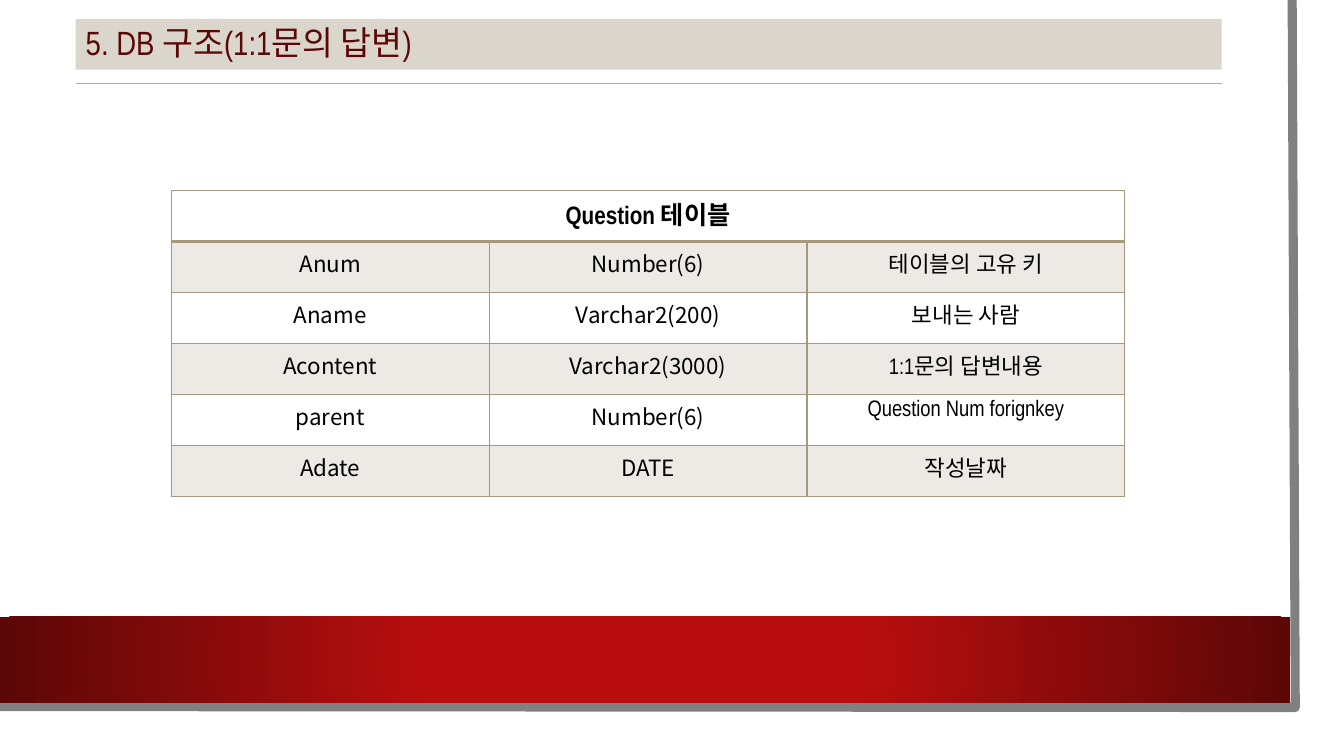
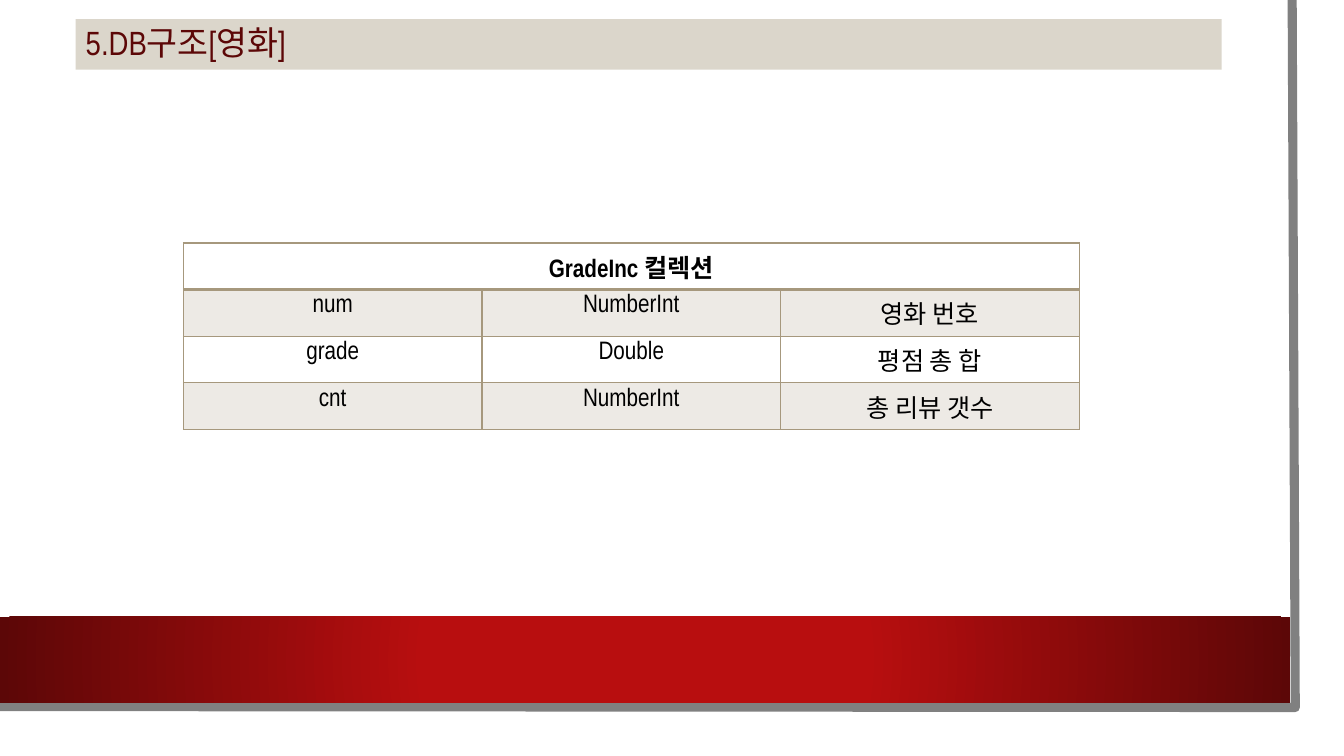
from pptx import Presentation
from pptx.dml.color import RGBColor
from pptx.enum.shapes import MSO_CONNECTOR, MSO_SHAPE
from pptx.enum.text import MSO_ANCHOR, MSO_AUTO_SIZE, PP_ALIGN
from pptx.oxml import parse_xml
from pptx.oxml.ns import nsdecls, qn
from pptx.util import Pt

RECT, LINE = MSO_SHAPE.RECTANGLE, MSO_CONNECTOR.STRAIGHT
LEFT, CENTER, MIDDLE = PP_ALIGN.LEFT, PP_ALIGN.CENTER, MSO_ANCHOR.MIDDLE
NO_FIT = MSO_AUTO_SIZE.NONE
TITLE_ONLY = 5

NARROW, SANS = "Arial Narrow", "Noto Sans CJK KR"
COLORS = {
    "white": "FFFFFF", "ink": "000000", "gray": "808080", "red": "B80E0F",
    "dark": "5C0707", "sand": "DBD6CB", "tan": "A6987D", "band": "EDEAE5",
    "rule": "F68B8C",
}

# Content
SLIDES = [
    {
        "title": "5. DB 구조(1:1문의 답변)", "rule": True,
        "head": "Question 테이블",
        "rows": [
            ("Anum", "Number(6)", "테이블의 고유 키"),
            ("Aname", "Varchar2(200)", "보내는 사람"),
            ("Acontent", "Varchar2(3000)", "1:1문의 답변내용"),
            ("parent", "Number(6)", "Question Num forignkey"),
            ("Adate", "DATE", "작성날짜"),
        ],
        "box": (122.4, 136, 681), "high": 36.5,
        "size": 16, "fonts": (SANS, SANS, NARROW),
    },
    {
        "title": "5.DB구조[영화]", "rule": False,
        "head": "GradeInc 컬렉션",
        "rows": [
            ("num", "NumberInt", "영화 번호"),
            ("grade", "Double", "평점 총 합"),
            ("cnt", "NumberInt", "총 리뷰 갯수"),
        ],
        "box": (131, 173.6, 640), "high": 33.2,
        "size": 18, "fonts": (NARROW, NARROW, NARROW),
    },
]

# Shared places
SIDE, WIDE = 54, 818.6
TITLE = (SIDE, 13.7, WIDE, 36)
RULE_Y = 59.8
CARD = (0, 0, 943, 523.4)
BAND = (0, 440.6, 921.6, 61.4)
EDGE = [(923, 0), (925.2, 505.4), (-2.2, 504.7)]


def color(name):
    return RGBColor.from_string(COLORS[name])


def write(frame, text, size=18, font=NARROW, ink="ink", bold=False, align=CENTER):
    para = frame.paragraphs[0]
    para.alignment = align
    run = para.add_run()
    run.text = text
    run.font.size, run.font.name, run.font.bold = Pt(size), font, bold
    run.font.color.rgb = color(ink)
    east = parse_xml(f'<a:ea {nsdecls("a")} typeface="{SANS}"/>')
    run.font._element.find(qn("a:latin")).addnext(east)
    return para


def add_rect(shapes, box):
    rect = shapes.add_shape(RECT, *map(Pt, box))
    rect.shadow.inherit = False
    rect.fill.solid()
    rect.fill.fore_color.rgb = color("white")
    rect.line.fill.background()
    return rect


def build_frame(shapes):
    card = add_rect(shapes, CARD)

    # Gray edge along the right and bottom
    start, *rest = [(Pt(x), Pt(y)) for x, y in EDGE]
    maker = shapes.build_freeform(*start)
    maker.add_line_segments(rest, close=False)
    edge = maker.convert_to_shape()
    edge.shadow.inherit = False
    edge.fill.background()
    edge.line.color.rgb = color("gray")
    edge.line.width = Pt(6.5)

    # Red band with a radial gradient
    band = add_rect(shapes, BAND)
    stops = "".join(
        f'<a:gs pos="{pos}000"><a:srgbClr val="{COLORS[name]}"/></a:gs>'
        for pos, name in ((34, "red"), (100, "dark")))
    grad = parse_xml(
        f'<a:gradFill {nsdecls("a")} rotWithShape="1"><a:gsLst>{stops}</a:gsLst>'
        '<a:path path="circle"><a:fillToRect l="50000" t="50000" r="50000" '
        'b="50000"/></a:path></a:gradFill>')
    solid = band.element.spPr.find(qn("a:solidFill"))
    solid.getparent().replace(solid, grad)
    return card, edge, band


def share(layout, parts):
    # Move the frame to the layout, behind its placeholders
    for num, part in enumerate(parts):
        part.element.xpath(".//p:cNvPr")[0].set("id", str(20 + num))
        layout.shapes.element.insert(2 + num, part.element)


def add_title(slide, text):
    title = slide.shapes.title
    title.left, title.top, title.width, title.height = map(Pt, TITLE)
    title.fill.solid()
    title.fill.fore_color.rgb = color("sand")
    frame = title.text_frame
    frame.auto_size, frame.vertical_anchor = NO_FIT, MIDDLE
    write(frame, text, size=24, ink="dark", align=LEFT).line_spacing = 0.9


def add_rule(slide):
    rule = slide.shapes.add_connector(
        LINE, Pt(SIDE), Pt(RULE_Y), Pt(SIDE + WIDE), Pt(RULE_Y))
    rule.line.color.rgb = color("rule")
    rule.line.width = Pt(0.75)
    rule.element.spPr.append(parse_xml(f'<a:effectLst {nsdecls("a")}/>'))


def add_border(cell, row):
    props = cell._tc.get_or_add_tcPr()
    thick = {"B": 2} if row == 0 else {"T": 2} if row == 1 else {}
    for side in "LRTB":
        props.append(parse_xml(
            f'<a:ln{side} {nsdecls("a")} w="{Pt(thick.get(side, 1))}"><a:solidFill>'
            f'<a:srgbClr val="{COLORS["tan"]}"/></a:solidFill></a:ln{side}>'))


def add_grid(slide, data):
    left, top, wide = data["box"]
    rows = [(data["head"], "", "")] + data["rows"]
    count = len(data["fonts"])
    grid = slide.shapes.add_table(
        len(rows), count, Pt(left), Pt(top), Pt(wide), Pt(data["high"] * len(rows))).table
    grid.first_row = grid.horz_banding = False
    for col in grid.columns:
        col.width = Pt(wide / count)
    grid.cell(0, 0).merge(grid.cell(0, count - 1))
    for r, row in enumerate(rows):
        grid.rows[r].height = Pt(data["high"])
        for c, text in enumerate(row):
            cell = grid.cell(r, c)
            add_border(cell, r)
            if r % 2:
                cell.fill.solid()
                cell.fill.fore_color.rgb = color("band")
            else:
                cell.fill.background()
            if r:
                write(cell.text_frame, text, size=data["size"], font=data["fonts"][c])
            elif text:
                write(cell.text_frame, text, bold=True)


def main():
    deck = Presentation()
    deck.slide_width, deck.slide_height = Pt(960), Pt(540)
    layout = deck.slide_layouts[TITLE_ONLY]
    for num, data in enumerate(SLIDES):
        slide = deck.slides.add_slide(layout)
        if num == 0:
            share(layout, build_frame(slide.shapes))
        add_title(slide, data["title"])
        if data["rule"]:
            add_rule(slide)
        add_grid(slide, data)
    deck.save("out.pptx")


if __name__ == "__main__":
    main()
